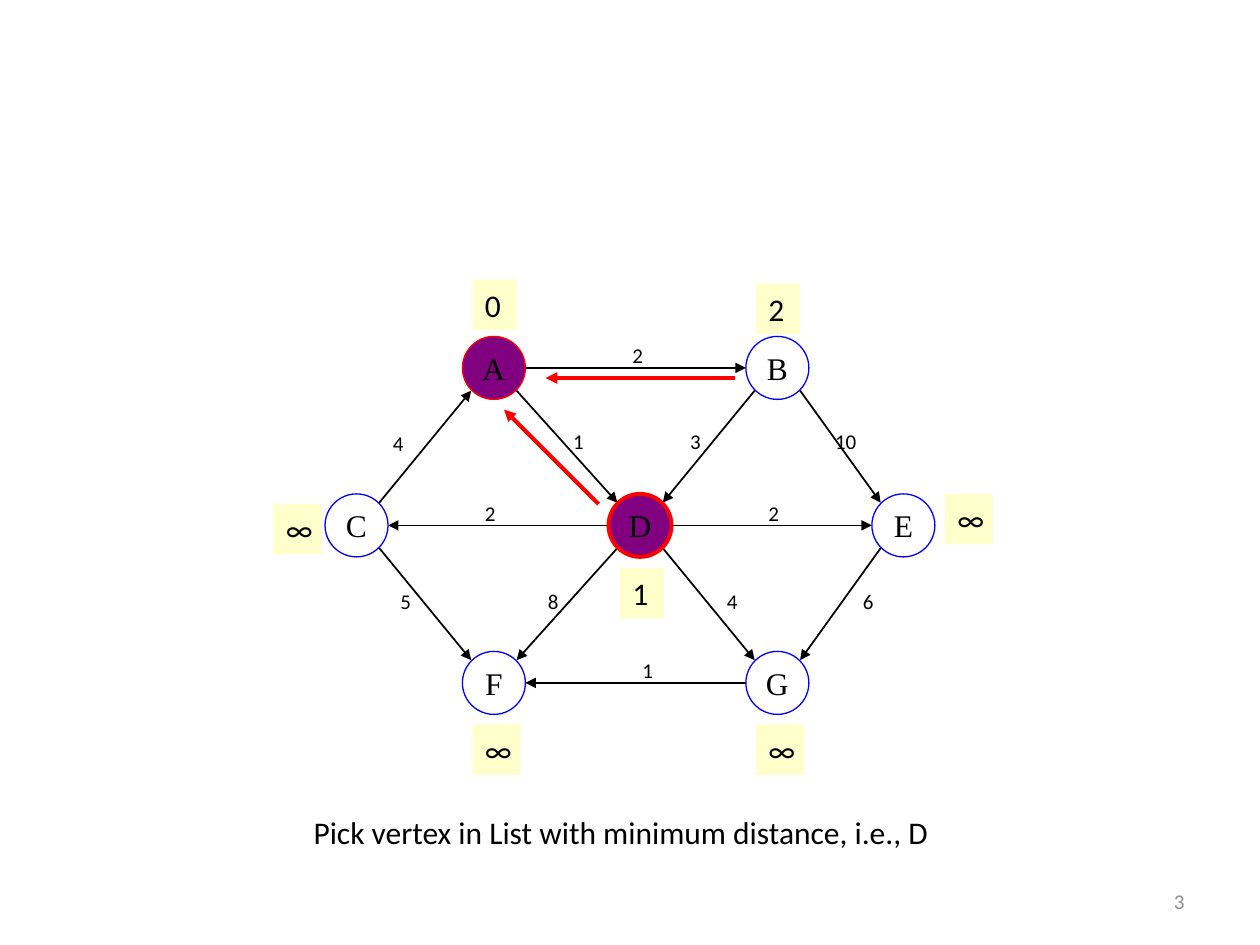
from lxml import etree
from pptx import Presentation, util as u
from pptx.dml.color import RGBColor
from pptx.enum import shapes, text
from pptx.oxml.ns import qn

NODES = {
    "A": (1.75, 0.7), "B": (4, 0.7),
    "C": (0.66, 1.95), "D": (2.91, 1.95), "E": (5, 1.95),
    "F": (1.75, 3.2), "G": (4, 3.2),
}
PICKED = {"A": 0.75, "D": 2.25}
EDGES = [
    ("A", "B", "2", 2.75, 0.45), ("A", "D", "1", 2.28, 1.13),
    ("B", "D", "3", 3.21, 1.13), ("B", "E", "10", 4.36, 1.13),
    ("C", "A", "4", 0.85, 1.15), ("D", "C", "2", 1.58, 1.7),
    ("D", "E", "2", 3.83, 1.7), ("C", "F", "5", 0.91, 2.4),
    ("D", "F", "8", 2.08, 2.4), ("D", "G", "4", 3.5, 2.4),
    ("E", "G", "6", 4.58, 2.4), ("G", "F", "1", 2.83, 2.95),
]
COSTS = [
    ("0", 1.58, 0), ("2", 3.83, 0.03), ("∞", 0, 1.78), ("∞", 5.33, 1.7),
    ("1", 2.75, 2.29), ("∞", 1.58, 3.53), ("∞", 3.83, 3.53),
]
BACK = [((2.58, 1.78), (1.83, 1.03)), ((3.66, 0.78), (2.16, 0.78))]


def color(code):
    return RGBColor.from_string(code)


def write(shape, words, size, font="Calibri", ink="000000",
          align=text.PP_ALIGN.LEFT, anchor=text.MSO_ANCHOR.MIDDLE, wrap=False):
    frame = shape.text_frame
    frame.text = words
    frame.word_wrap = wrap
    frame.vertical_anchor = anchor
    para = frame.paragraphs[0]
    para.alignment = align
    run = para.runs[0].font
    run.size, run.name = u.Pt(size), font
    run.color.rgb = color(ink)


def label(slide, box, words, size, **style):
    write(slide.shapes.add_textbox(*map(u.Inches, box)), words, size, **style)


def block(slide, kind, box, fill=None, line=None, width=0.75):
    shape = slide.shapes.add_shape(kind, *map(u.Inches, box))
    shape.shadow.inherit = False
    if fill:
        shape.fill.solid()
        shape.fill.fore_color.rgb = color(fill)
    else:
        shape.fill.background()
    if line:
        shape.line.color.rgb = color(line)
        shape.line.width = u.Pt(width)
    else:
        shape.line.fill.background()
    return shape


def arrow(slide, start, end, ink, width):
    line = slide.shapes.add_connector(
        shapes.MSO_CONNECTOR.STRAIGHT, *map(u.Inches, (*start, *end)))
    line.line.color.rgb = color(ink)
    line.line.width = u.Pt(width)
    etree.SubElement(line.line._get_or_add_ln(), qn("a:tailEnd"), type="triangle")
    etree.SubElement(line._element.spPr, qn("a:effectLst"))


def sign(value):
    return (value > 0) - (value < 0)


def edge(slide, start, end):
    dx, dy = (sign(b - a) for a, b in zip(start, end))
    gap = 0.18 if dy else 0.25
    arrow(slide, (start[0] + dx * gap, start[1] + dy * gap),
          (end[0] - dx * gap, end[1] - dy * gap), "000000", 1)


def graph(slide, left, top):
    def place(point):
        return left + point[0], top + point[1]

    for start, end, *_ in EDGES:
        edge(slide, place(NODES[start]), place(NODES[end]))
    for name, point in NODES.items():
        x, y = place(point)
        picked = name in PICKED
        node = block(slide, shapes.MSO_SHAPE.OVAL, (x - 0.25, y - 0.25, 0.5, 0.5),
                     "800080" if picked else None,
                     "FF0000" if picked else "0000FF", PICKED.get(name, 0.75))
        write(node, name, 18, "Times New Roman", align=text.PP_ALIGN.CENTER)
    for _, _, weight, x, y in EDGES:
        wide = 0.2 + 0.1 * len(weight)
        label(slide, (*place((x, y)), wide, 0.3), weight, 12)
    for cost, x, y in COSTS:
        wide = 0.38 if cost == "∞" else 0.35
        tag = block(slide, shapes.MSO_SHAPE.RECTANGLE,
                    (*place((x, y)), wide, 0.4), "FFFFCC")
        write(tag, cost, 18, anchor=text.MSO_ANCHOR.TOP)
    for start, end in BACK:
        arrow(slide, place(start), place(end), "FF0000", 2.25)


def main():
    deck = Presentation()
    deck.slide_width, deck.slide_height = u.Inches(10), u.Inches(7.5)
    slide = deck.slides.add_slide(deck.slide_layouts[6])
    graph(slide, 2.17, 2.22)
    label(slide, (2.39, 6.4, 5.59, 0.4),
          "Pick vertex in List with minimum distance, i.e., D", 18,
          anchor=text.MSO_ANCHOR.TOP)
    label(slide, (7.17, 6.95, 2.33, 0.4), "3", 12, ink="8C8C8C",
          align=text.PP_ALIGN.RIGHT, wrap=True)
    deck.save("out.pptx")


main()
